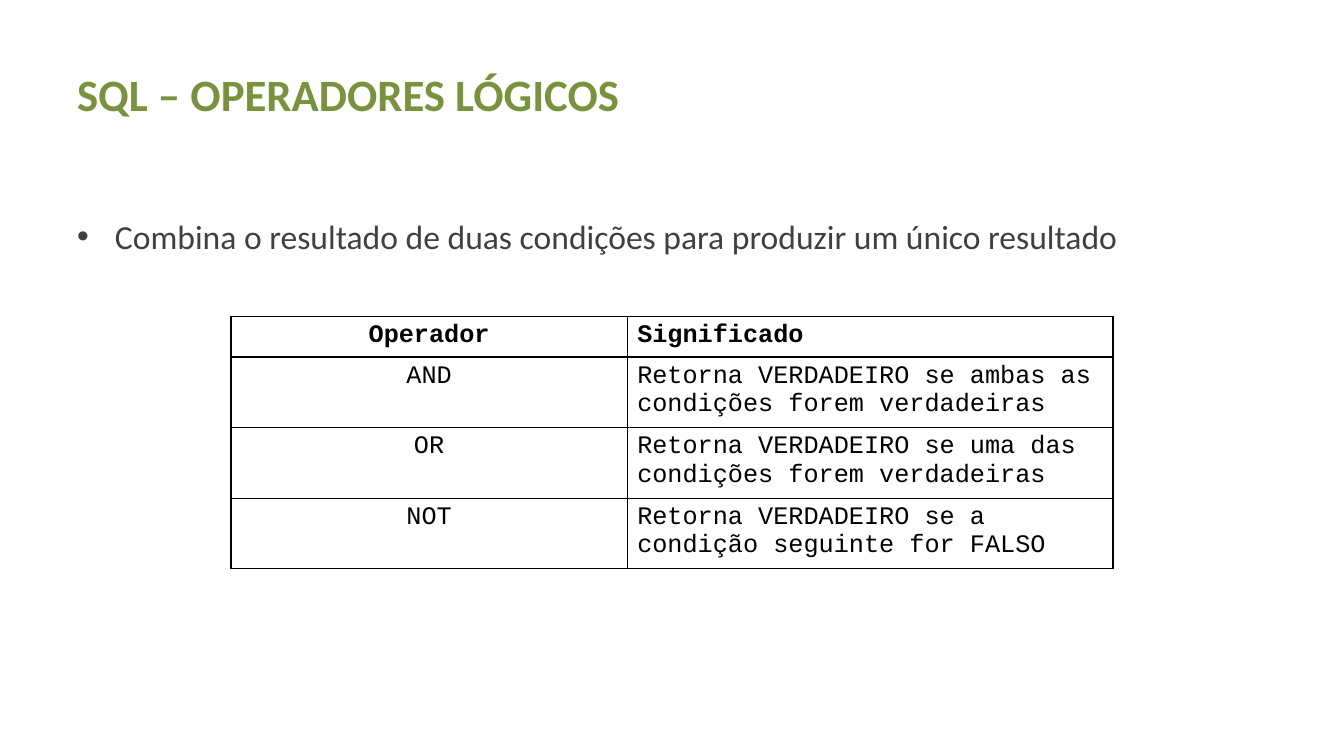
from dataclasses import dataclass

import lxml.etree
import pptx
import pptx.dml.color
import pptx.enum.text
import pptx.oxml.ns
import pptx.util

Pt = pptx.util.Pt
ALIGN = pptx.enum.text.PP_ALIGN
ANCHOR = pptx.enum.text.MSO_ANCHOR

GREEN = pptx.dml.color.RGBColor(0x77, 0x93, 0x3C)
GRAY = pptx.dml.color.RGBColor(0x40, 0x40, 0x40)
BLACK = pptx.dml.color.RGBColor(0, 0, 0)

COLUMN_WIDTHS = (283, 347)
HEADER_HEIGHT = 27.5
ROW_HEIGHT = 48.2
BULLET_INDENT = 27


@dataclass
class TextBlock:
    text: str
    top: float
    height: float
    size: float
    color: pptx.dml.color.RGBColor
    anchor: ANCHOR
    alignment: ALIGN
    bold: bool = False
    bullet: bool = False


@dataclass
class OperatorRow:
    operator: str
    meaning: str
    header: bool = False


TEXT_BLOCKS = [
    TextBlock("SQL – OPERADORES LÓGICOS", 21.6, 90, 32, GREEN,
              ANCHOR.MIDDLE, ALIGN.LEFT, bold=True),
    TextBlock("Combina o resultado de duas condições para produzir um único resultado",
              150.5, 332, 24, GRAY, ANCHOR.TOP, ALIGN.JUSTIFY, bullet=True),
]

OPERATOR_ROWS = [
    OperatorRow("Operador", "Significado", header=True),
    OperatorRow("AND", "Retorna VERDADEIRO se ambas as condições forem verdadeiras"),
    OperatorRow("OR", "Retorna VERDADEIRO se uma das condições forem verdadeiras"),
    OperatorRow("NOT", "Retorna VERDADEIRO se a condição seguinte for FALSO"),
]


def add_child(parent, tag: str, **attributes: str):
    return lxml.etree.SubElement(parent, pptx.oxml.ns.qn(tag), attributes)


def style_paragraph(paragraph, name: str, size: float,
                    color: pptx.dml.color.RGBColor, bold: bool, alignment: ALIGN) -> None:
    paragraph.alignment = alignment
    paragraph.font.name = name
    paragraph.font.size = Pt(size)
    paragraph.font.bold = bold
    paragraph.font.color.rgb = color


def add_bullet(paragraph) -> None:
    properties = paragraph._p.get_or_add_pPr()
    properties.set("marL", str(Pt(BULLET_INDENT)))
    properties.set("indent", str(-Pt(BULLET_INDENT)))
    bullet_font = pptx.oxml.parse_xml(
        f'<a:buFont {pptx.oxml.ns.nsdecls("a")} typeface="Arial"/>')
    properties.insert(0, bullet_font)
    bullet = pptx.oxml.parse_xml(f'<a:buChar {pptx.oxml.ns.nsdecls("a")} char="•"/>')
    properties.insert(1, bullet)


def add_text(slide, block: TextBlock) -> None:
    shape = slide.shapes.add_textbox(Pt(48), Pt(block.top), Pt(864), Pt(block.height))
    frame = shape.text_frame
    frame.word_wrap = True
    frame.vertical_anchor = block.anchor
    paragraph = frame.paragraphs[0]
    paragraph.text = block.text
    style_paragraph(paragraph, "Calibri", block.size, block.color, block.bold, block.alignment)
    if block.bullet:
        add_bullet(paragraph)


def add_borders(cell) -> None:
    properties = cell._tc.get_or_add_tcPr()
    for index, side in enumerate(("a:lnL", "a:lnR", "a:lnT", "a:lnB")):
        line = add_child(properties, side, w=str(Pt(1)))
        add_child(add_child(line, "a:solidFill"), "a:srgbClr", val=str(BLACK))
        properties.insert(index, line)  # borders precede the cell fill


def add_operator_table(slide, rows: list[OperatorRow]) -> None:
    height = HEADER_HEIGHT + ROW_HEIGHT * (len(rows) - 1)
    table = slide.shapes.add_table(len(rows), len(COLUMN_WIDTHS), Pt(165), Pt(226.2),
                                   Pt(sum(COLUMN_WIDTHS)), Pt(height)).table
    for column, width in zip(table.columns, COLUMN_WIDTHS):
        column.width = Pt(width)
    for row_index, row in enumerate(rows):
        table.rows[row_index].height = Pt(HEADER_HEIGHT if row.header else ROW_HEIGHT)
        contents = ((row.operator, ALIGN.CENTER), (row.meaning, ALIGN.LEFT))
        for column_index, (text, alignment) in enumerate(contents):
            cell = table.cell(row_index, column_index)
            cell.text = text
            cell.fill.background()
            style_paragraph(cell.text_frame.paragraphs[0], "Courier New", 18,
                            BLACK, row.header, alignment)
            add_borders(cell)


def main() -> None:
    presentation = pptx.Presentation()
    presentation.slide_width = Pt(960)
    presentation.slide_height = Pt(540)
    slide = presentation.slides.add_slide(presentation.slide_layouts[6])

    # Title and bullet
    for block in TEXT_BLOCKS:
        add_text(slide, block)

    # Logical operators
    add_operator_table(slide, OPERATOR_ROWS)

    presentation.save("out.pptx")


if __name__ == "__main__":
    main()
